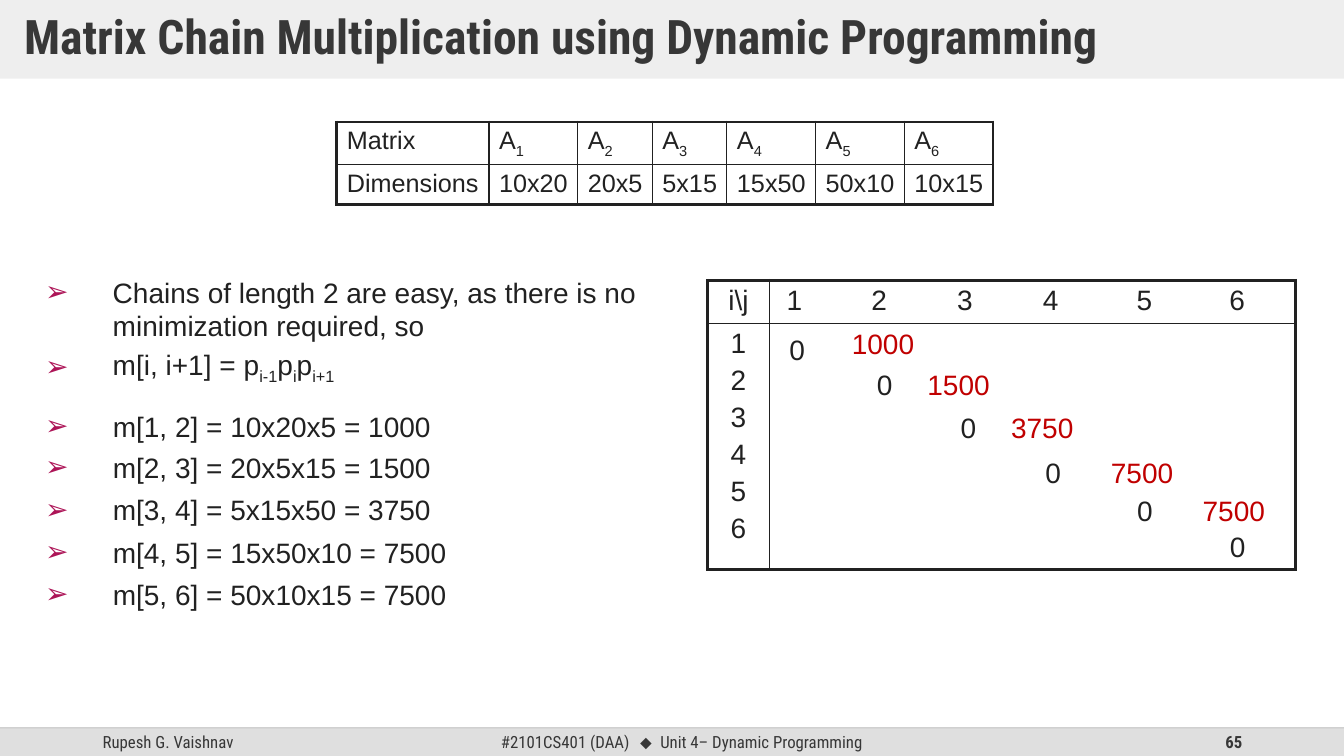
from lxml import etree
from pptx import Presentation
from pptx.dml.color import RGBColor
from pptx.enum.shapes import MSO_CONNECTOR, MSO_SHAPE
from pptx.enum.text import MSO_ANCHOR, PP_ALIGN
from pptx.oxml.ns import qn
from pptx.util import Emu, Pt

PX = 9144
WIDE, HIGH = 1333, 750
RECT = MSO_SHAPE.RECTANGLE
LINE = MSO_CONNECTOR.STRAIGHT
MIDDLE, TOP = MSO_ANCHOR.MIDDLE, MSO_ANCHOR.TOP
LEFT, CENTER, RIGHT = PP_ALIGN.LEFT, PP_ALIGN.CENTER, PP_ALIGN.RIGHT
INK = RGBColor(0x21, 0x21, 0x21)
DARK = RGBColor(0x37, 0x37, 0x37)
BAND = RGBColor(0xDF, 0xDF, 0xDF)
RULE = RGBColor(0xBF, 0xBF, 0xBF)
RED = RGBColor(0xC0, 0x00, 0x00)
PINK = RGBColor(0xAD, 0x14, 0x57)
BODY, HEAD = "Arial", "Roboto Condensed"
THIN, THICK = Pt(1), Pt(2.25)
GAP = Pt(4)


def px(*nums):
    """Turn px lengths into EMU."""
    return [Emu(n * PX) for n in nums]


def add(parent, tag, **attrs):
    """Add a drawing element with the given attributes."""
    node = etree.SubElement(parent, qn("a:" + tag))
    for key, value in attrs.items():
        node.set(key, str(value))
    return node


def fade(shape, percent):
    """Make the first colour of a shape partly clear."""
    color = next(shape._element.spPr.iter(qn("a:srgbClr")))
    add(color, "alpha", val=percent * 1000)


def write(para, text, size, color=INK, font=BODY, align=LEFT, bold=False):
    """Fill a paragraph; every second part between bars is a subscript."""
    para.alignment = align
    para.font.size, para.font.name, para.font.bold = Pt(size), font, bold
    para.font.color.rgb = color
    for i, part in enumerate(text.split("|")):
        if part:
            run = para.add_run()
            run.text = part
            if i % 2:
                run._r.get_or_add_rPr().set("baseline", "-25000")


def set_tabs(para, stops, align):
    """Give a paragraph its tab stops in px."""
    tabs = add(para._p.get_or_add_pPr(), "tabLst")
    for stop in stops:
        add(tabs, "tab", pos=stop * PX, algn=align)


def set_bullet(para):
    """Give a paragraph an arrow bullet and a hanging indent."""
    props = para._p.get_or_add_pPr()
    props.set("marL", str(67 * PX))
    props.set("indent", str(-67 * PX))
    add(add(props, "buClr"), "srgbClr", val=PINK)
    add(props, "buFont", typeface=BODY)
    add(props, "buChar", char="➢")


def add_text(slide, box, anchor=TOP):
    """Add a wrapping text box and return its frame."""
    frame = slide.shapes.add_textbox(*px(*box)).text_frame
    frame.word_wrap = True
    frame.vertical_anchor = anchor
    return frame


def add_band(slide, box):
    """Add a plain grey band."""
    band = slide.shapes.add_shape(RECT, *px(*box))
    band.shadow.inherit = False
    band.fill.solid()
    band.fill.fore_color.rgb = BAND
    band.line.fill.background()
    return band


def add_title(slide, box):
    """Draw the title on its pale band."""
    band = add_band(slide, box)
    fade(band, 50)
    frame = band.text_frame
    frame.word_wrap = True
    frame.vertical_anchor = MIDDLE
    frame.margin_left, frame.margin_top = px(24, 12)
    frame.margin_right, frame.margin_bottom = px(24, 12)
    para = frame.paragraphs[0]
    para.line_spacing = 0.9
    write(para, "Matrix Chain Multiplication using Dynamic Programming",
          34, DARK, HEAD, bold=True)


def add_footer(slide, box):
    """Draw the footer band with author, unit and page number."""
    x, y, w, h = box
    add_band(slide, box)
    rule = slide.shapes.add_connector(LINE, *px(x, y, x + w, y))
    rule.line.color.rgb = RULE
    rule.line.width = THIN
    fade(rule, 70)
    add(rule._element.spPr, "effectLst")
    name = add_text(slide, (x + 92, y, 300, h), MIDDLE)
    write(name.paragraphs[0], "Rupesh G. Vaishnav", 12, DARK, HEAD)
    page = add_text(slide, (x + 942, y, 300, h), MIDDLE)
    write(page.paragraphs[0], "65", 12, DARK, HEAD, RIGHT, True)
    unit = add_text(slide, (x + 487, y, 421, h), MIDDLE).paragraphs[0]
    set_tabs(unit, (138, 158), "l")
    write(unit, "#2101CS401 (DAA)\t", 12, DARK, HEAD)
    mark = unit.add_run()
    mark.text, mark.font.name = "⬥", BODY
    unit.add_run().text = "\tUnit 4– Dynamic Programming"


def add_grid(slide, box, cols, rows):
    """Add an unfilled table with a thick frame and thin inner lines."""
    shape = slide.shapes.add_table(len(rows), len(cols), *px(*box))
    grid = shape.table
    grid.first_row = grid.horz_banding = False
    for col, size in zip(grid.columns, cols):
        col.width = Emu(size * PX)
    for row, size in zip(grid.rows, rows):
        row.height = Emu(size * PX)
    for r in range(len(rows)):
        for c in range(len(cols)):
            cell = grid.cell(r, c)
            cell.margin_left, cell.margin_right = px(10, 2)
            cell.margin_top, cell.margin_bottom = px(5, 2)
            props = cell._tc.get_or_add_tcPr()
            outer = {"lnL": c == 0, "lnR": c == len(cols) - 1,
                     "lnT": r == 0, "lnB": r == len(rows) - 1}
            for side, edge in outer.items():
                line = add(props, side, w=int(THICK if edge else THIN))
                add(add(line, "solidFill"), "srgbClr", val=INK)
            cell.fill.background()
    return grid


def add_sizes(slide, box):
    """Draw the table of matrix dimensions."""
    cols = [151, 88, 74, 74, 88, 88, 88]
    grid = add_grid(slide, box, cols, [42, 40])
    rows = [["Matrix"] + [f"A|{n}" for n in range(1, 7)],
            ["Dimensions", "10x20", "20x5", "5x15", "15x50", "50x10", "10x15"]]
    for r, row in enumerate(rows):
        for c, text in enumerate(row):
            write(grid.cell(r, c).text_frame.paragraphs[0], text, 18)


def add_steps(slide, box):
    """Draw the rule and the five worked products as bullets."""
    x, y, w, h = box
    frame = add_text(slide, (x, y, w, 117))
    rule, form = frame.paragraphs[0], frame.add_paragraph()
    set_bullet(rule)
    write(rule, "Chains of length 2 are easy, as there is no "
          "minimization required, so", 20)
    set_bullet(form)
    form.space_before = GAP
    write(form, "m[i, i+1] = p|i-1|p|i|p|i+1", 20)
    sums = ["10x20x5 = 1000", "20x5x15 = 1500", "5x15x50 = 3750",
            "15x50x10 = 7500", "50x10x15 = 7500"]
    for i, text in enumerate(sums):
        top = y + 133 + i * 167 // 4
        para = add_text(slide, (x, top, 492, 42)).paragraphs[0]
        set_bullet(para)
        write(para, f"m[{i + 1}, {i + 2}] = {text}", 20)


def add_costs(slide, box):
    """Draw the cost table and the values along its diagonals."""
    x, y, w, h = box
    grid = add_grid(slide, box, [61, w - 61], [43, h - 43])
    corner, side = grid.cell(0, 0), grid.cell(1, 0)
    corner.margin_right = side.margin_right = corner.margin_left
    write(corner.text_frame.paragraphs[0], "i\\j", 20, align=CENTER)
    head = grid.cell(0, 1).text_frame.paragraphs[0]
    set_tabs(head, (15, 99, 184, 269, 362, 454), "ctr")
    write(head, "".join(f"\t{n}" for n in range(1, 7)), 20)
    frame = side.text_frame
    for n in range(1, 7):
        para = frame.paragraphs[0] if n == 1 else frame.add_paragraph()
        if n > 1:
            para.space_before = GAP
        write(para, str(n), 20, align=CENTER)
    zeros = [(71, 47), (158, 82), (241, 124), (325, 169), (416, 207), (508, 242)]
    costs = [(133, 41, 1000), (208, 82, 1500), (291, 124, 3750),
             (390, 169, 7500), (481, 207, 7500)]
    spots = [(dx, dy, 33, 0, INK) for dx, dy in zeros]
    spots += [(dx, dy, 93, cost, RED) for dx, dy, cost in costs]
    for dx, dy, size, value, color in spots:
        frame = add_text(slide, (x + dx, y + dy, size, 43))
        write(frame.paragraphs[0], str(value), 20, color)


def main():
    """Build the slide and save it."""
    deck = Presentation()
    deck.slide_width, deck.slide_height = px(WIDE, HIGH)
    slide = deck.slides.add_slide(deck.slide_layouts[6])
    add_footer(slide, (0, 722, WIDE, 28))
    add_title(slide, (0, 0, WIDE, 78))
    add_sizes(slide, (334, 121, 651, 82))
    add_steps(slide, (35, 268, 667, 342))
    add_costs(slide, (702, 278, 583, 287))
    deck.save("out.pptx")


if __name__ == "__main__":
    main()
